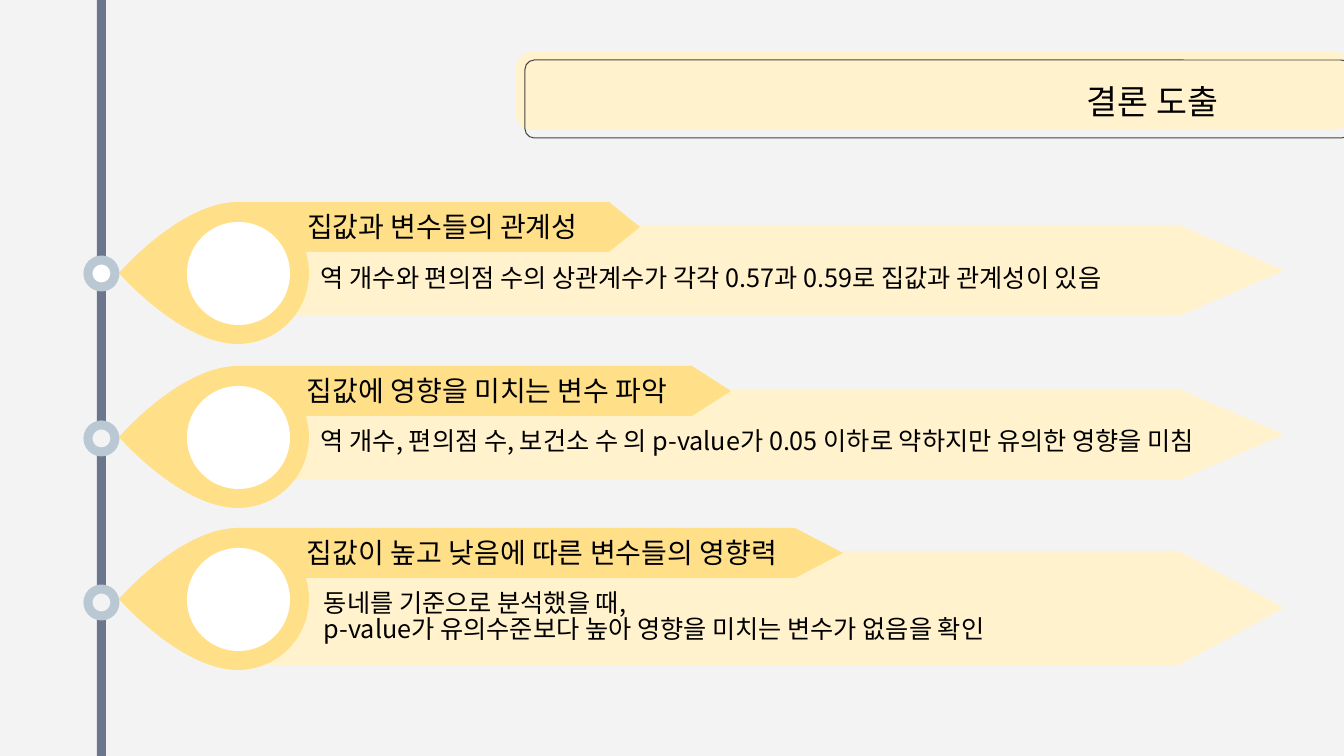
from math import cos, pi, sin

from pptx import Presentation
from pptx.dml.color import RGBColor
from pptx.enum.shapes import MSO_SHAPE
from pptx.enum.text import MSO_ANCHOR, PP_ALIGN
from pptx.oxml.ns import qn
from pptx.util import Emu, Pt
from lxml import etree

PX = 914400 / 100.8  # EMU in one px
FONT = "Noto Sans CJK KR"
COLORS = {
    "background": "F3F3F3",
    "pale": "FFF2CC",
    "yellow": "FFE089",
    "white": "FFFFFF",
    "outline": "434343",
    "timeline": "6B768C",
    "ring": "BAC8D3",
    "text": "000000",
}


def style_shape(shape, fill=None, line=None, line_width=1):
    shape.shadow.inherit = False
    if fill:
        shape.fill.solid()
        shape.fill.fore_color.rgb = RGBColor.from_string(COLORS[fill])
    else:
        shape.fill.background()
    if line:
        shape.line.color.rgb = RGBColor.from_string(COLORS[line])
        shape.line.width = Emu(round(line_width * PX))
    else:
        shape.line.fill.background()
    return shape


def add_text(text, left, top, width, height, size=18, spacing=0.9,
             anchor=MSO_ANCHOR.TOP, align=PP_ALIGN.LEFT):
    box = slide.shapes.add_textbox(*[round(n * PX) for n in (left, top, width, height)])
    frame = box.text_frame
    frame.word_wrap = True
    frame.vertical_anchor = anchor
    frame.margin_left = frame.margin_right = round(13 * PX)
    frame.margin_top = frame.margin_bottom = round(13 * PX)
    for index, line in enumerate(text.split("\n")):
        paragraph = frame.paragraphs[0] if index == 0 else frame.add_paragraph()
        paragraph.alignment = align
        paragraph.line_spacing = spacing
        run = paragraph.add_run()
        run.text = line
        run.font.size = Pt(size)
        run.font.name = FONT
        run.font.color.rgb = RGBColor.from_string(COLORS["text"])
        etree.SubElement(run.font._element, qn("a:ea")).set("typeface", FONT)


presentation = Presentation()
presentation.slide_width = round(1344 * PX)
presentation.slide_height = round(756 * PX)
slide = presentation.slides.add_slide(presentation.slide_layouts[6])
slide.background.fill.solid()
slide.background.fill.fore_color.rgb = RGBColor.from_string(COLORS["background"])

# Title banner, vertical timeline
for kind, left, top, width, height, corner, look in [
    (MSO_SHAPE.ROUNDED_RECTANGLE, 516, 52, 834, 78, 0.2, {"fill": "pale"}),
    (MSO_SHAPE.ROUNDED_RECTANGLE, 525, 60, 826, 78, 0.12, {"line": "outline"}),
    (MSO_SHAPE.RECTANGLE, 97, 0, 9, 756, None, {"fill": "timeline"}),
]:
    shape = slide.shapes.add_shape(kind, *[round(n * PX) for n in (left, top, width, height)])
    if corner:
        shape.adjustments[0] = corner
    style_shape(shape, **look)
add_text("결론 도출", 761, 68, 470, 71, size=24, anchor=MSO_ANCHOR.MIDDLE,
         align=PP_ALIGN.RIGHT)

# Conclusions: top, heading tip and point, band height, ring centre and hole, texts
conclusions = [
    (202, 640, 31, 91, 273, "white", "집값과 변수들의 관계성", 308, 254,
     "역 개수와 편의점 수의 상관계수가 각각 0.57과 0.59로 집값과 관계성이 있음"),
    (366, 731, 39, 91, 438, "background", "집값에 영향을 미치는 변수 파악", 308, 417,
     "역 개수, 편의점 수, 보건소 수 의 p-value가 0.05 이하로 약하지만 유의한 영향을 미침"),
    (528, 843, 48, 114, 602, "background", "집값이 높고 낮음에 따른 변수들의 영향력", 311, 579,
     "동네를 기준으로 분석했을 때,\np-value가 유의수준보다 높아 영향을 미치는 변수가 없음을 확인"),
]
RADIUS = 71
STEPS = 40

for (top, heading_tip, heading_point, band_height, ring_y, hole,
     heading, body_left, body_top, body) in conclusions:
    # Pale band and heading arrow
    for left, arrow_top, tip, height, point, fill in [
        (245, top + 23, 1284, band_height, 105, "pale"),
        (238, top, heading_tip, 50, heading_point, "yellow"),
    ]:
        arrow = slide.shapes.add_shape(
            MSO_SHAPE.PENTAGON,
            *[round(n * PX) for n in (left, arrow_top, tip - left, height)])
        arrow.adjustments[0] = point / height
        style_shape(arrow, fill=fill)

    # Drop: curve from the tip to the top, half circle, mirrored curve back
    center = top + RADIUS
    curve = []
    for step in range(STEPS + 1):
        t = step / STEPS
        a, b, c, d = (1 - t) ** 3, 3 * t * (1 - t) ** 2, 3 * t * t * (1 - t), t ** 3
        curve.append((119 * a + 126 * b + 184 * c + 238 * d,
                      -(8 * b + RADIUS * c + RADIUS * d)))
    half_circle = [(238 + RADIUS * sin(pi * step / STEPS), -RADIUS * cos(pi * step / STEPS))
                   for step in range(1, STEPS)]
    outline = curve + half_circle + [(x, -y) for x, y in reversed(curve)]
    points = [(round(x * PX), round((center + y) * PX)) for x, y in outline]
    builder = slide.shapes.build_freeform(*points[0])
    builder.add_line_segments(points[1:], close=True)
    style_shape(builder.convert_to_shape(), fill="yellow")

    # White disc and timeline ring
    for left, oval_top, size, look in [
        (187, top + 20, 103, {"fill": "white"}),
        (88, ring_y - 13, 27, {"fill": hole, "line": "ring", "line_width": 9}),
    ]:
        oval = slide.shapes.add_shape(
            MSO_SHAPE.OVAL, *[round(n * PX) for n in (left, oval_top, size, size)])
        style_shape(oval, **look)

    add_text(heading, 294, top - 3, heading_tip - 294, 58, size=20,
             anchor=MSO_ANCHOR.BOTTOM)
    add_text(body, body_left, body_top, 1020, 67, spacing=0.85)

presentation.save("out.pptx")
